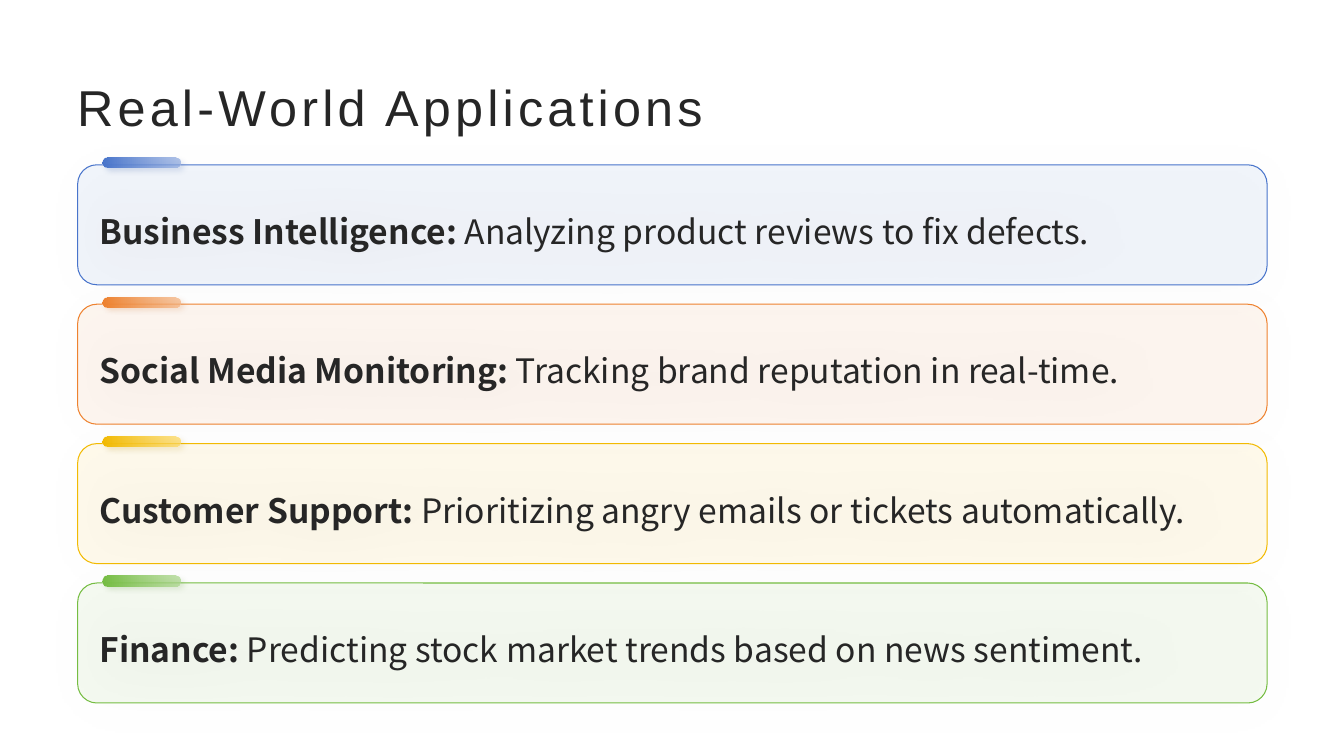
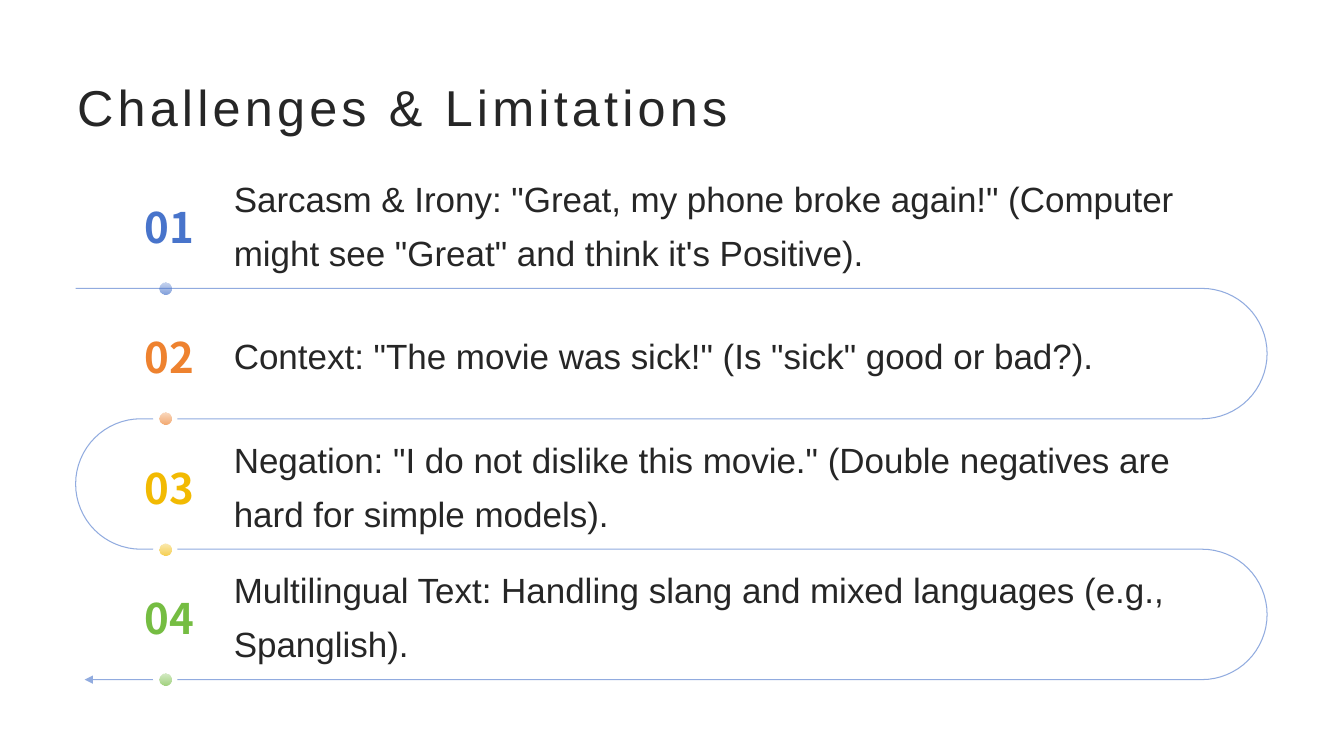
"""Builds two slides: application cards and a winding list of challenges."""
import math

from lxml import etree
from pptx import Presentation
from pptx import util as u
from pptx.dml.color import RGBColor
from pptx.enum import shapes, text
from pptx.oxml.ns import qn

W, H = u.Inches(13.333), u.Inches(7.5)
INK, WHITE = "262626", "FFFFFF"
SANS, NOTO = "Arial", "Noto Sans CJK SC"
ROUND, OVAL = shapes.MSO_SHAPE.ROUNDED_RECTANGLE, shapes.MSO_SHAPE.OVAL
ACCENTS = ["4874CB", "EE822F", "F2BA02", "75BD42"]
TINTS = ["91ACE0", "F5B482", "FED961", "ACD78E"]
SHADES = ["2E54A1", "C65F10", "B58B01", "588E31"]

CARD_TOP, CARD_PITCH = 21.8, 18.44
ROW_TOP, ROW_PITCH = 20.9, 17.25
TRACK_LEFT, TRACK_RIGHT, TRACK_END, DOT_X = 5.63, 94.28, 6.3, 12.3

CARDS = [
    ("Business Intelligence:", " Analyzing product reviews to fix defects."),
    ("Social Media Monitoring: ", "Tracking brand reputation in real-time."),
    ("Customer Support: ", "Prioritizing angry emails or tickets automatically."),
    ("Finance: ", "Predicting stock market trends based on news sentiment."),
]
CHALLENGES = [
    'Sarcasm & Irony: "Great, my phone broke again!" (Computer might see "Great" '
    'and think it\'s Positive).',
    'Context: "The movie was sick!" (Is "sick" good or bad?).',
    'Negation: "I do not dislike this movie." (Double negatives are hard for simple models).',
    "Multilingual Text: Handling slang and mixed languages (e.g., Spanglish).",
]


def rgb(hex_color):
    """Turn a hex string into a colour."""
    return RGBColor.from_string(hex_color)


def px(share):
    """Length for a percentage of the slide's width."""
    return int(W * share / 100)


def py(share):
    """Length for a percentage of the slide's height."""
    return int(H * share / 100)


def add_child(parent, tag, **attrs):
    """Append an XML element with the given attributes."""
    el = etree.SubElement(parent, qn(tag))
    for key, value in attrs.items():
        el.set(key, str(value))
    return el


def set_alpha(root, *opacities):
    """Give each colour below root its opacity in percent."""
    for clr, opacity in zip(list(root.iter(qn("a:srgbClr"))), opacities):
        add_child(clr, "a:alpha", val=opacity * 1000)


def fill_solid(sp, color, opacity=100):
    """Fill a shape with one colour."""
    sp.fill.solid()
    sp.fill.fore_color.rgb = rgb(color)
    set_alpha(sp.fill._xPr.find(qn("a:solidFill")), opacity)


def fill_gradient(sp, colors, opacities, angle):
    """Fill a shape with a two-stop linear gradient."""
    sp.fill.gradient()
    sp.fill.gradient_angle = angle
    for stop, color in zip(sp.fill.gradient_stops, colors):
        stop.color.rgb = rgb(color)
    set_alpha(sp.fill._xPr.find(qn("a:gradFill")), *opacities)


def add_shadow(sp, color, opacity, blur):
    """Add a soft shadow falling to the lower right."""
    effects = sp._element.spPr.find(qn("a:effectLst"))
    shadow = add_child(effects, "a:outerShdw", blurRad=u.Pt(blur), dist=u.Pt(3),
                       dir=45 * 60000, algn="tl", rotWithShape=0)
    clr = add_child(shadow, "a:srgbClr", val=color)
    add_child(clr, "a:alpha", val=opacity * 1000)


def add_shape(s, kind, x, y, w, h, adj=None):
    """Add a plain preset shape without line or shadow."""
    sp = s.shapes.add_shape(kind, x, y, w, h)
    sp.shadow.inherit = False
    sp.line.fill.background()
    if adj is not None:
        sp.adjustments[0] = adj
    return sp


def add_circle(s, x, y, diameter):
    """Add a circle around a centre point."""
    return add_shape(s, OVAL, x - diameter // 2, y - diameter // 2, diameter, diameter)


def write(sp, runs, size, font, color=INK, margins=(0, 0, 0, 0), spacing=1.3,
          align=text.PP_ALIGN.LEFT, wrap=True, tracking=0):
    """Write one paragraph of (text, bold) runs, centred vertically."""
    tf = sp.text_frame
    tf.word_wrap = wrap
    tf.vertical_anchor = text.MSO_ANCHOR.MIDDLE
    tf.margin_left, tf.margin_top, tf.margin_right, tf.margin_bottom = map(u.Inches, margins)
    p = tf.paragraphs[0]
    p.alignment, p.line_spacing = align, spacing
    for content, bold in runs:
        r = p.add_run()
        r.text = content
        r.font.size, r.font.name, r.font.bold = u.Pt(size), font, bold
        r.font.color.rgb = rgb(color)
        if tracking:
            r.font._element.set("spc", str(tracking * 100))


def add_slide(prs, title):
    """Add a blank slide with the shared title."""
    s = prs.slides.add_slide(prs.slide_layouts[6])
    sp = s.shapes.add_textbox(px(5), py(8.93), px(90), py(10.27))
    write(sp, [(title, False)], 36, SANS, margins=(0.1, 0.05, 0.1, 0.05),
          spacing=1.0, tracking=3)
    return s


def add_card(s, i, label, detail):
    """Add a tinted card with a coloured tab on its upper edge."""
    top = CARD_TOP + i * CARD_PITCH
    card = add_shape(s, ROUND, px(5.78), py(top), px(88.5), py(15.87), 0.16)
    fill_solid(card, TINTS[i], 12)
    card.line.color.rgb = rgb(ACCENTS[i])
    card.line.width = u.Pt(0.75)
    add_shadow(card, "000000", 7, 35)
    write(card, [(label, True), (detail, False)], 24, NOTO, margins=(0.16, 0, 0.16, 0))
    tab = add_shape(s, ROUND, px(7.65), py(top - 0.93), px(5.78), py(1.33), 0.5)
    fill_gradient(tab, (ACCENTS[i], TINTS[i]), (100, 71), 0)
    add_shadow(tab, SHADES[i], 20, 4)


def add_track(s, turns=3, steps=32):
    """Draw the winding arrow that runs below every row."""
    radius = py(ROW_PITCH) / 2
    left, right = px(TRACK_LEFT), px(TRACK_RIGHT)
    y = py(ROW_TOP + ROW_PITCH)
    points = []
    for turn in range(turns):
        side = -1 if turn % 2 else 1
        cx = (right if side > 0 else left) - side * radius
        cy = y + (2 * turn + 1) * radius
        for step in range(steps + 1):
            t = math.pi * step / steps
            points.append((cx + side * radius * math.sin(t), cy - radius * math.cos(t)))
    points.append((px(TRACK_END), y + 2 * turns * radius))
    fb = s.shapes.build_freeform(left, y)
    fb.add_line_segments(points, close=False)
    sp = fb.convert_to_shape()
    sp.shadow.inherit = False
    sp.fill.background()
    sp.line.color.rgb = rgb(ACCENTS[0])
    sp.line.width = u.Pt(0.75)
    ln = sp._element.spPr.find(qn("a:ln"))
    set_alpha(ln, 60)
    add_child(ln, "a:tailEnd", type="triangle")


def add_challenge(s, i, detail):
    """Add a numbered row with its dot on the track."""
    top, height = py(ROW_TOP + i * ROW_PITCH), py(ROW_PITCH)
    margins = (0, 0, 0, 0.08)
    body = s.shapes.add_textbox(px(17.4), top, px(70.88), height)
    write(body, [(detail, False)], 25, SANS, margins=margins)
    number = s.shapes.add_textbox(px(10.12), top, px(4.95), height)
    write(number, [(f"{i + 1:02}", True)], 30, NOTO, ACCENTS[i], margins,
          align=text.PP_ALIGN.CENTER, wrap=False)
    if i:
        fill_solid(add_circle(s, px(DOT_X), top + height, py(3.2)), WHITE)
    dot = add_circle(s, px(DOT_X), top + height, py(1.6))
    fill_gradient(dot, (ACCENTS[i], ACCENTS[i]), (30, 70), 270)


def main():
    """Build and save both slides."""
    prs = Presentation()
    prs.slide_width, prs.slide_height = W, H
    s = add_slide(prs, "Real-World Applications")
    for i, (label, detail) in enumerate(CARDS):
        add_card(s, i, label, detail)
    s = add_slide(prs, "Challenges & Limitations")
    add_track(s)
    for i, detail in enumerate(CHALLENGES):
        add_challenge(s, i, detail)
    prs.save("out.pptx")


if __name__ == "__main__":
    main()
